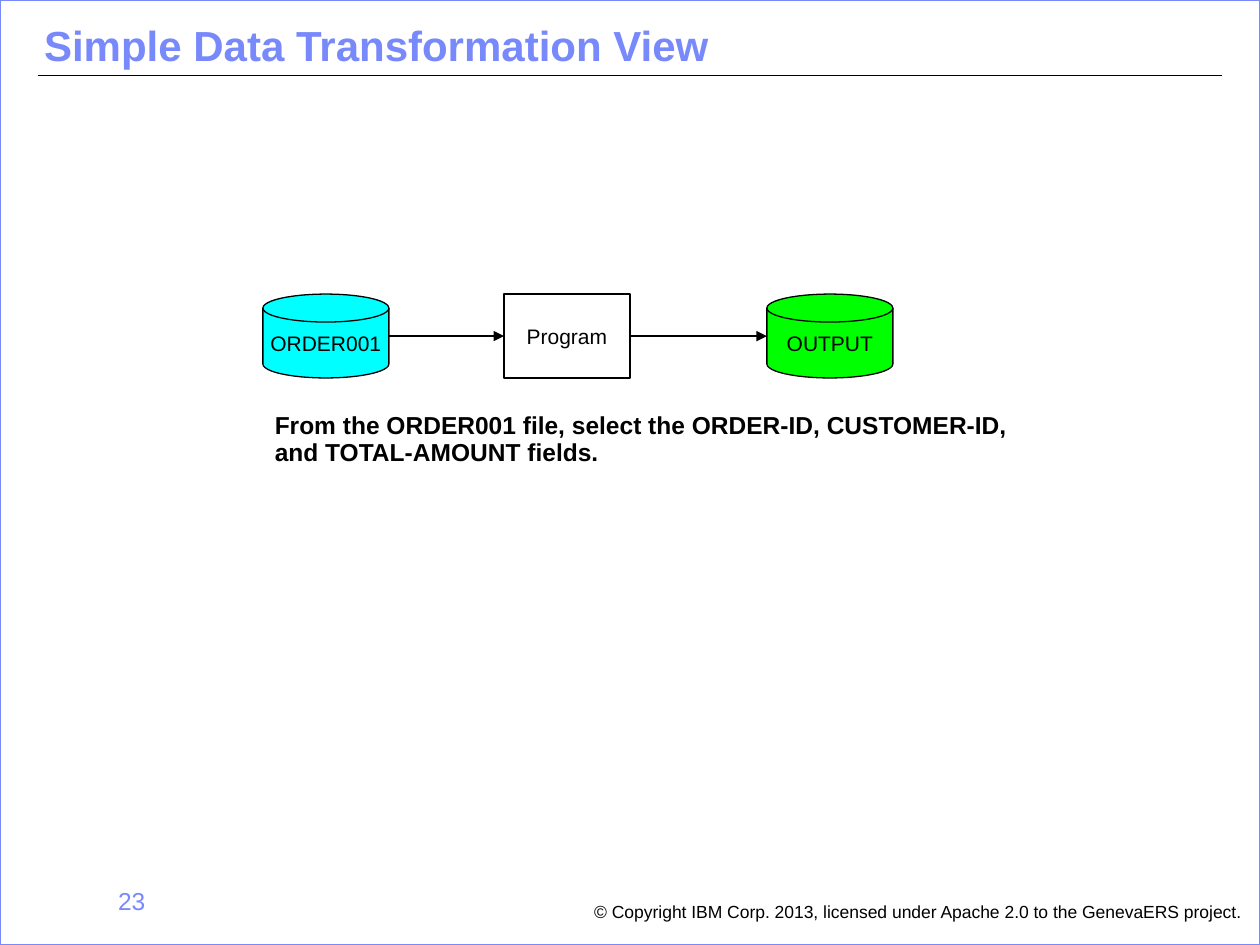
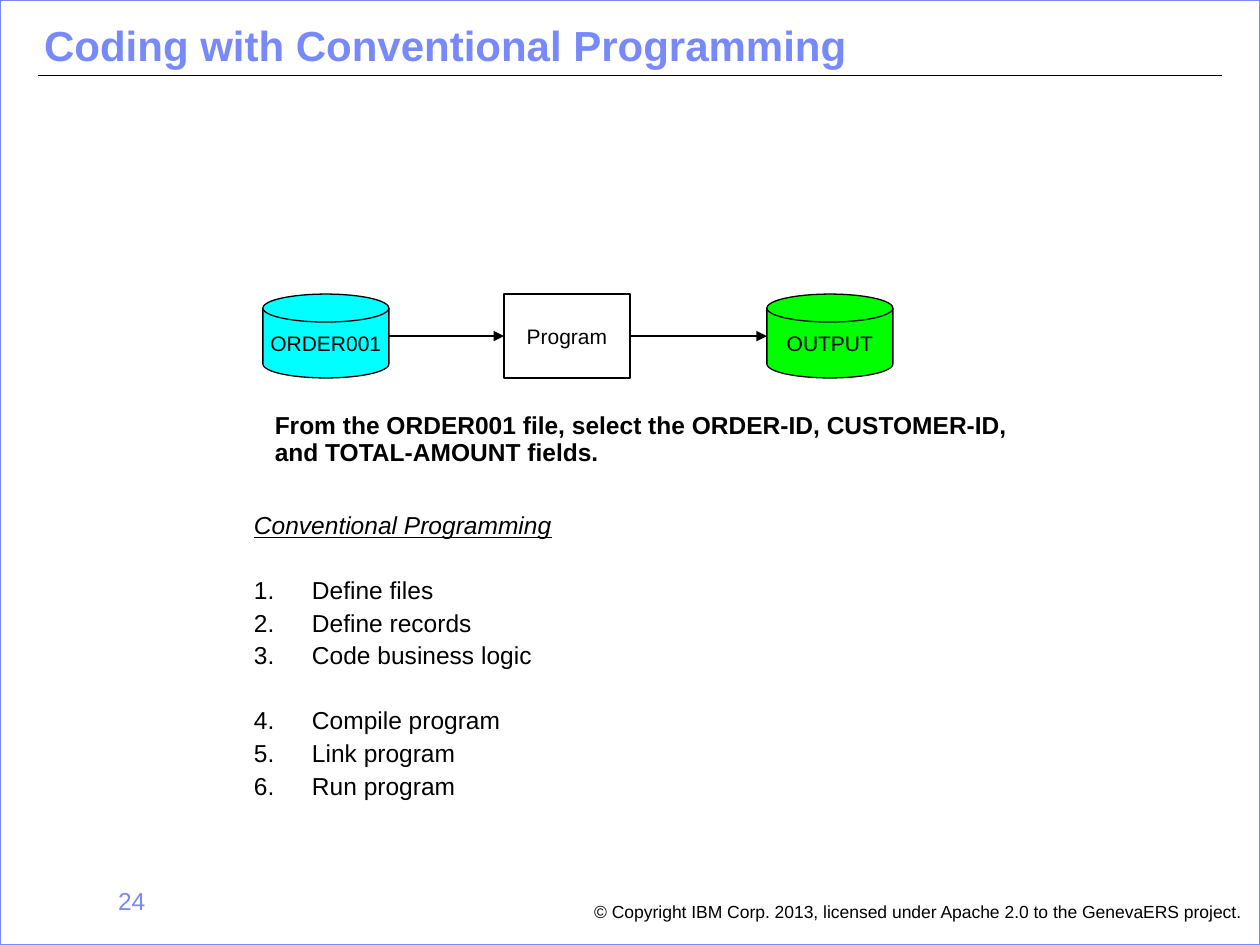
from lxml import etree
from pptx import Presentation
from pptx.dml.color import RGBColor
from pptx.enum.shapes import MSO_CONNECTOR, MSO_SHAPE
from pptx.enum.text import MSO_ANCHOR, PP_ALIGN
from pptx.oxml.ns import qn
from pptx.util import Cm, Pt

RECT = MSO_SHAPE.RECTANGLE
DISK = MSO_SHAPE.FLOWCHART_MAGNETIC_DISK
STEP = MSO_SHAPE.FLOWCHART_PROCESS
STRAIGHT = MSO_CONNECTOR.STRAIGHT
MIDDLE = MSO_ANCHOR.MIDDLE
LEFT, CENTER, RIGHT = PP_ALIGN.LEFT, PP_ALIGN.CENTER, PP_ALIGN.RIGHT

HEX = {"blue": "7889FB", "black": "000000", "cyan": "00FFFF", "green": "00FF00"}
INK = {name: RGBColor.from_string(code) for name, code in HEX.items()}
FONT = "Arial"
WIDE, HIGH = 25.4, 19.05

# Flow row: three equal nodes on one centre line
NODE_W, NODE_H, NODE_TOP = 2.54, 1.69, 5.93
NODE_MID = NODE_TOP + NODE_H / 2
NODES = [
    ("ORDER001", DISK, 5.3, "cyan"),
    ("Program", STEP, 10.16, None),
    ("OUTPUT", DISK, 15.46, "green"),
]

COPY = ("© Copyright IBM Corp. 2013, licensed under Apache 2.0 "
        "to the GenevaERS project.")
TASK = ["From the ORDER001 file, select the ORDER-ID, CUSTOMER-ID,",
        "and TOTAL-AMOUNT fields."]
GROUPS = [
    ["Define files", "Define records", "Code business logic"],
    ["Compile program", "Link program", "Run program"],
]
PAGES = [
    (23, "Simple Data Transformation View", []),
    (24, "Coding with Conventional Programming", GROUPS),
]


def write(frame, text, size=14, ink="black", bold=False, italic=False, line=False,
          align=LEFT, pitch=1.0, before=0, after=0, wrap=True, number=False):
    """Add one paragraph, using the first one while the frame is empty."""
    para = frame.paragraphs[0] if not frame.text else frame.add_paragraph()
    frame.word_wrap = wrap
    if number:
        props = para._p.get_or_add_pPr()
        props.set("marL", str(Cm(1.17)))
        props.set("indent", str(-Cm(1.17)))
        etree.SubElement(props, qn("a:buFont"), typeface="+mj-lt")
        etree.SubElement(props, qn("a:buAutoNum"), type="arabicPeriod")
    para.alignment = align
    para.line_spacing = pitch
    para.space_before, para.space_after = Pt(before), Pt(after)
    run = para.add_run()
    run.text = text
    font = run.font
    font.name, font.size, font.color.rgb = FONT, Pt(size), INK[ink]
    font.bold, font.italic, font.underline = bold, italic, line


def link(slide, x1, y1, x2, y2, arrow=False):
    """Draw a thin black line, with an arrowhead at its end if asked."""
    line = slide.shapes.add_connector(STRAIGHT, Cm(x1), Cm(y1), Cm(x2), Cm(y2))
    line.line.color.rgb, line.line.width = INK["black"], Pt(0.75)
    if arrow:
        etree.SubElement(line.line._get_or_add_ln(), qn("a:tailEnd"), type="triangle")
    etree.SubElement(line._element.spPr, qn("a:effectLst"))
    return line


deck = Presentation()
deck.slide_width, deck.slide_height = Cm(WIDE), Cm(HIGH)

for page, title, groups in PAGES:
    slide = deck.slides.add_slide(deck.slide_layouts[6])
    shapes = slide.shapes

    # Border, title and footer
    link(slide, 0.76, 1.52, 24.64, 1.52)
    edge = shapes.add_shape(RECT, 0, 0, Cm(WIDE), Cm(HIGH))
    edge.shadow.inherit = False
    edge.fill.background()
    edge.line.color.rgb, edge.line.width = INK["blue"], Pt(1)

    foot = shapes.add_textbox(Cm(11.73), Cm(18.08), Cm(13.67), Cm(0.64))
    write(foot.text_frame, COPY, size=10, pitch=0.9, wrap=False)
    folio = shapes.add_textbox(Cm(0.64), Cm(17.73), Cm(2.54), Cm(1.32))
    write(folio.text_frame, str(page), ink="blue", align=RIGHT)
    head = shapes.add_textbox(Cm(0.64), Cm(0.38), Cm(21.72), Cm(1.52))
    write(head.text_frame, title, size=24, ink="blue", bold=True, pitch=0.9)

    # Flow from input file to output file
    for label, kind, left, fill in NODES:
        node = shapes.add_shape(kind, Cm(left), Cm(NODE_TOP), Cm(NODE_W), Cm(NODE_H))
        node.shadow.inherit = False
        if fill:
            node.fill.solid()
            node.fill.fore_color.rgb = INK[fill]
        else:
            node.fill.background()
            program = node
        node.line.color.rgb, node.line.width = INK["black"], Pt(0.75)
        node.text_frame.vertical_anchor = MIDDLE
        write(node.text_frame, label, size=12, align=CENTER, wrap=False)

    source, step, target = [left for _, _, left, _ in NODES]
    inward = link(slide, source + NODE_W, NODE_MID, step, NODE_MID, arrow=True)
    inward.end_connect(program, 1)
    outward = link(slide, step + NODE_W, NODE_MID, target, NODE_MID, arrow=True)
    outward.begin_connect(program, 3)

    task = shapes.add_textbox(Cm(5.29), Cm(8.25), Cm(17.78), Cm(1.27))
    for text in TASK:
        write(task.text_frame, text, bold=True, pitch=0.8, after=2)

    # Numbered steps, each group set off by one line of space
    if groups:
        steps = shapes.add_textbox(Cm(4.87), Cm(10.16), Cm(7.42), Cm(6.12))
        write(steps.text_frame, "Conventional Programming",
              italic=True, line=True, after=2)
        for group in groups:
            for spot, text in enumerate(group):
                write(steps.text_frame, text, number=True,
                      before=0 if spot else 18, after=2)

deck.save("out.pptx")
